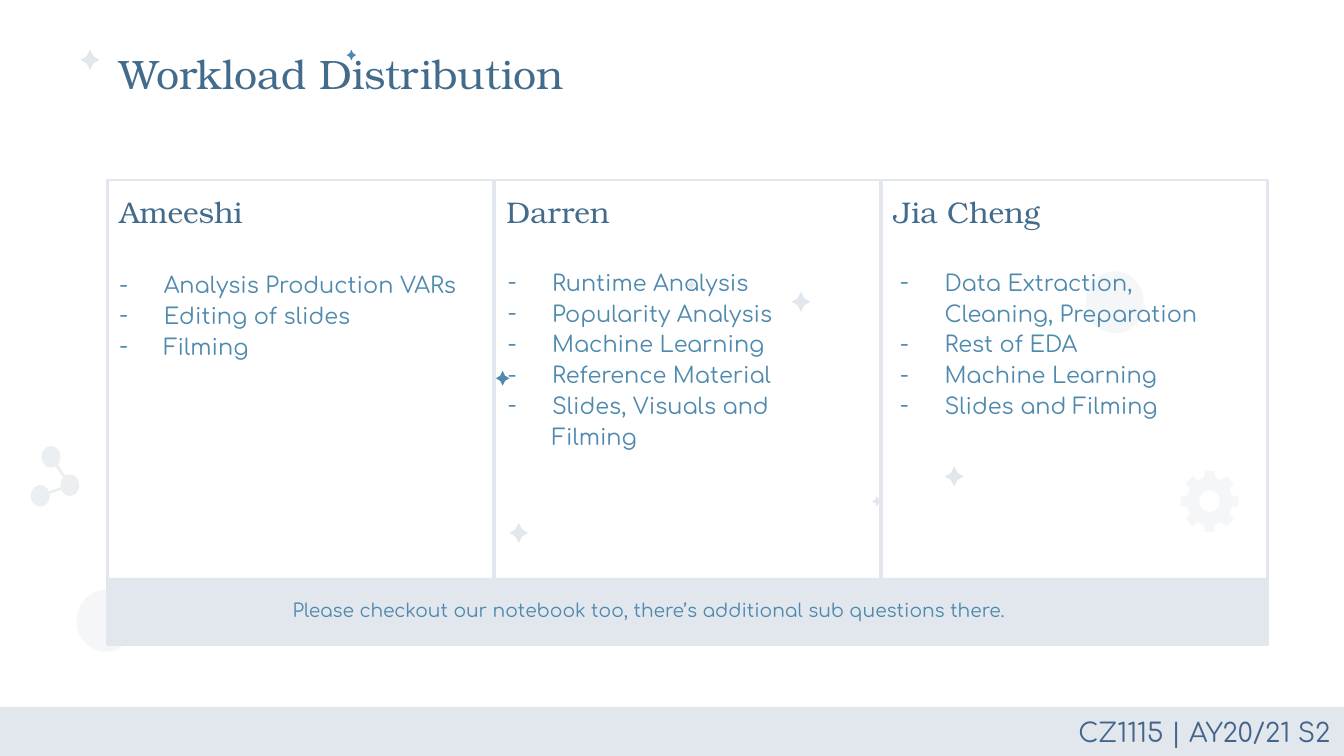
from math import cos, pi, sin

from lxml import etree
from pptx import Presentation
from pptx.dml.color import RGBColor
from pptx.enum.shapes import MSO_CONNECTOR, MSO_SHAPE
from pptx.enum.text import MSO_ANCHOR, MSO_AUTO_SIZE, PP_ALIGN
from pptx.oxml.ns import qn
from pptx.util import Inches, Pt

RECT, OVAL, STAR = MSO_SHAPE.RECTANGLE, MSO_SHAPE.OVAL, MSO_SHAPE.STAR_4_POINT
STRAIGHT = MSO_CONNECTOR.STRAIGHT
LEFT, RIGHT = PP_ALIGN.LEFT, PP_ALIGN.RIGHT
TOP, MIDDLE = MSO_ANCHOR.TOP, MSO_ANCHOR.MIDDLE
FIT_SHAPE, NO_FIT = MSO_AUTO_SIZE.SHAPE_TO_FIT_TEXT, MSO_AUTO_SIZE.NONE

BLUE, MIST, PALE, FAINT = "4E89AE", "E2E7ED", "EBEFF2", "F5F6F8"
SERIF, ROUNDED = "TeX Gyre Bonum", "Comfortaa"


def color(hex_value):
    return RGBColor.from_string(hex_value)


def add_bullet(para):
    """Give a paragraph a hanging dash bullet."""
    props = para._p.get_or_add_pPr()
    props.set("marL", str(Inches(0.5)))
    props.set("indent", str(Inches(-0.33)))
    bullet_color = etree.SubElement(props, qn("a:buClr"))
    etree.SubElement(bullet_color, qn("a:srgbClr")).set("val", BLUE)
    etree.SubElement(props, qn("a:buFont")).set("typeface", ROUNDED)
    etree.SubElement(props, qn("a:buChar")).set("char", "-")


def write(frame, text, font=ROUNDED, size=12, ink=BLUE, align=LEFT,
          spacing=None, after=None, bullets=False):
    """Fill a text frame, one paragraph per line of text."""
    for number, line in enumerate(text.split("\n")):
        para = frame.add_paragraph() if number else frame.paragraphs[0]
        para.alignment = align
        if spacing:
            para.line_spacing = spacing
        if after:
            para.space_after = Pt(after)
        if bullets:
            add_bullet(para)
        span = para.add_run()
        span.text = line
        span.font.name, span.font.size = font, Pt(size)
        span.font.color.rgb = color(ink)


class SlideBuilder:
    def __init__(self, page):
        self.page = page

    def paint(self, shape, fill=None, line=None):
        shape.shadow.inherit = False
        if fill:
            shape.fill.solid()
            shape.fill.fore_color.rgb = color(fill)
        else:
            shape.fill.background()
        if line:
            shape.line.color.rgb = color(line)
            shape.line.width = Pt(1.5)
        else:
            shape.line.fill.background()
        return shape

    def shape(self, kind, left, top, width, height, fill=None, line=None):
        box = self.page.shapes.add_shape(
            kind, Inches(left), Inches(top), Inches(width), Inches(height))
        return self.paint(box, fill, line)

    def star(self, left, top, width, height, fill=MIST):
        self.shape(STAR, left, top, width, height, fill).adjustments[0] = 0.25

    def link(self, start, end, ink):
        line = self.page.shapes.add_connector(STRAIGHT, *map(Inches, start + end))
        line.line.color.rgb = color(ink)
        line.line.width = Pt(1.5)
        etree.SubElement(line._element.spPr, qn("a:effectLst"))

    def molecule(self, atoms, fill):
        for start, end in zip(atoms, atoms[1:]):
            self.link(start, end, fill)
        for x, y in atoms:
            self.shape(OVAL, x - 0.07, y - 0.08, 0.14, 0.16, fill)

    def gear(self, x, y, fill, teeth=8):
        def at(radius, angle):
            return (Inches(x + 0.95 * radius * sin(angle)),
                    Inches(y - radius * cos(angle)))

        # Each tooth runs base, tip, tip, base
        profile = ((0.18, -0.25), (0.23, -0.16), (0.23, 0.16), (0.18, 0.25))
        rim = [at(radius, 2 * pi * tooth / teeth + offset)
               for tooth in range(teeth) for radius, offset in profile]
        hole = [at(0.08, -2 * pi * step / 32) for step in range(32)]
        builder = self.page.shapes.build_freeform(*rim[0], scale=1.0)
        builder.add_line_segments(rim[1:], close=True)
        builder.move_to(*hole[0])
        builder.add_line_segments(hole[1:], close=True)
        self.paint(builder.convert_to_shape(), fill)

    def text(self, left, top, width, height, text, anchor=TOP, fit=NO_FIT, **style):
        box = self.page.shapes.add_textbox(
            Inches(left), Inches(top), Inches(width), Inches(height))
        frame = box.text_frame
        frame.word_wrap = True
        frame.auto_size = fit
        frame.vertical_anchor = anchor
        frame.margin_left = frame.margin_right = Inches(0.1)
        frame.margin_top = frame.margin_bottom = Inches(0.1)
        write(frame, text, **style)

    def heading(self, left, top, width, height, text, size):
        self.text(left, top, width, height, text, font=SERIF, size=size, ink="436B8B")


def main():
    # Widescreen page, 16 to 9
    deck = Presentation()
    deck.slide_width = Inches(10)
    deck.slide_height = Inches(10) * 9 // 16
    slide = SlideBuilder(deck.slides.add_slide(deck.slide_layouts[6]))

    # Background decoration
    for left, top in ((8.08, 2.02), (0.57, 4.39)):
        slide.shape(OVAL, left, top, 0.43, 0.46, FAINT)
    for left, top in ((3.79, 3.89), (0.6, 0.37), (7.03, 3.47), (5.89, 2.17)):
        slide.star(left, top, 0.14, 0.15)
    for left, top in ((6.49, 3.69), (5.11, 2.08)):
        slide.star(left, top, 0.07, 0.08)
    slide.star(3.69, 2.76, 0.1, 0.11, BLUE)
    slide.star(2.58, 0.37, 0.07, 0.08, BLUE)
    slide.gear(9, 3.73, FAINT)
    slide.molecule([(0.38, 3.4), (0.52, 3.61), (0.3, 3.69)], PALE)

    # Footer band
    slide.shape(RECT, 0, 5.26, 10, 0.37, MIST)

    # Title
    slide.heading(0.79, 0.26, 5.52, 0.59, "Workload Distribution", 22)

    # One card per person: name, task box, tasks
    people = (
        ("Ameeshi", (0.62, 1.89, 3.05, 0.83),
         "Analysis Production VARs\nEditing of slides\nFilming"),
        ("Darren", (3.51, 1.87, 2.86, 2.41),
         "Runtime Analysis\nPopularity Analysis\nMachine Learning\n"
         "Reference Material\nSlides, Visuals and Filming"),
        ("Jia Cheng", (6.43, 1.87, 2.86, 2.41),
         "Data Extraction, Cleaning, Preparation\nRest of EDA\n"
         "Machine Learning\nSlides and Filming"),
    )
    for column, (name, task_box, tasks) in enumerate(people):
        left = 0.79 + 2.88 * column
        slide.shape(RECT, left + 0.01, 1.34, 2.87, 3.46, line=MIST)
        slide.heading(left, 1.34, 2.12, 0.5, name, 16)
        slide.text(*task_box, tasks, spacing=1.15, bullets=True)
        slide.shape(RECT, left, 4.3, 2.88, 0.5, MIST)

    # Note across the cards
    slide.text(2.08, 4.37, 6.44, 0.37,
               "Please checkout our notebook too, there’s additional sub questions there.",
               fit=FIT_SHAPE, size=10, after=25)

    # Footer text
    slide.text(1.25, 5.26, 8.75, 0.38, "CZ1115 | AY20/21 S2",
               anchor=MIDDLE, size=14, ink="43658B", align=RIGHT)

    deck.save("out.pptx")


if __name__ == "__main__":
    main()
